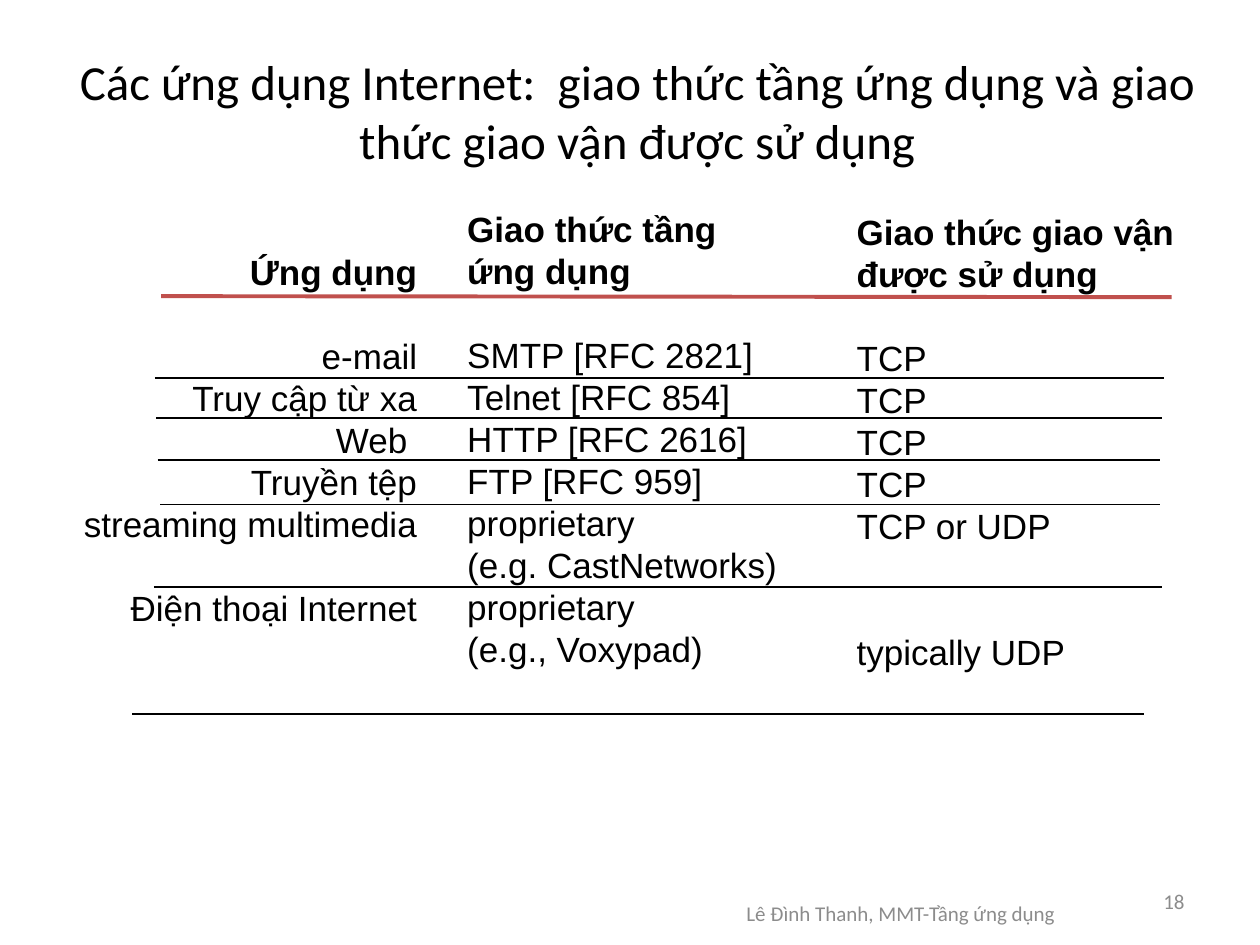
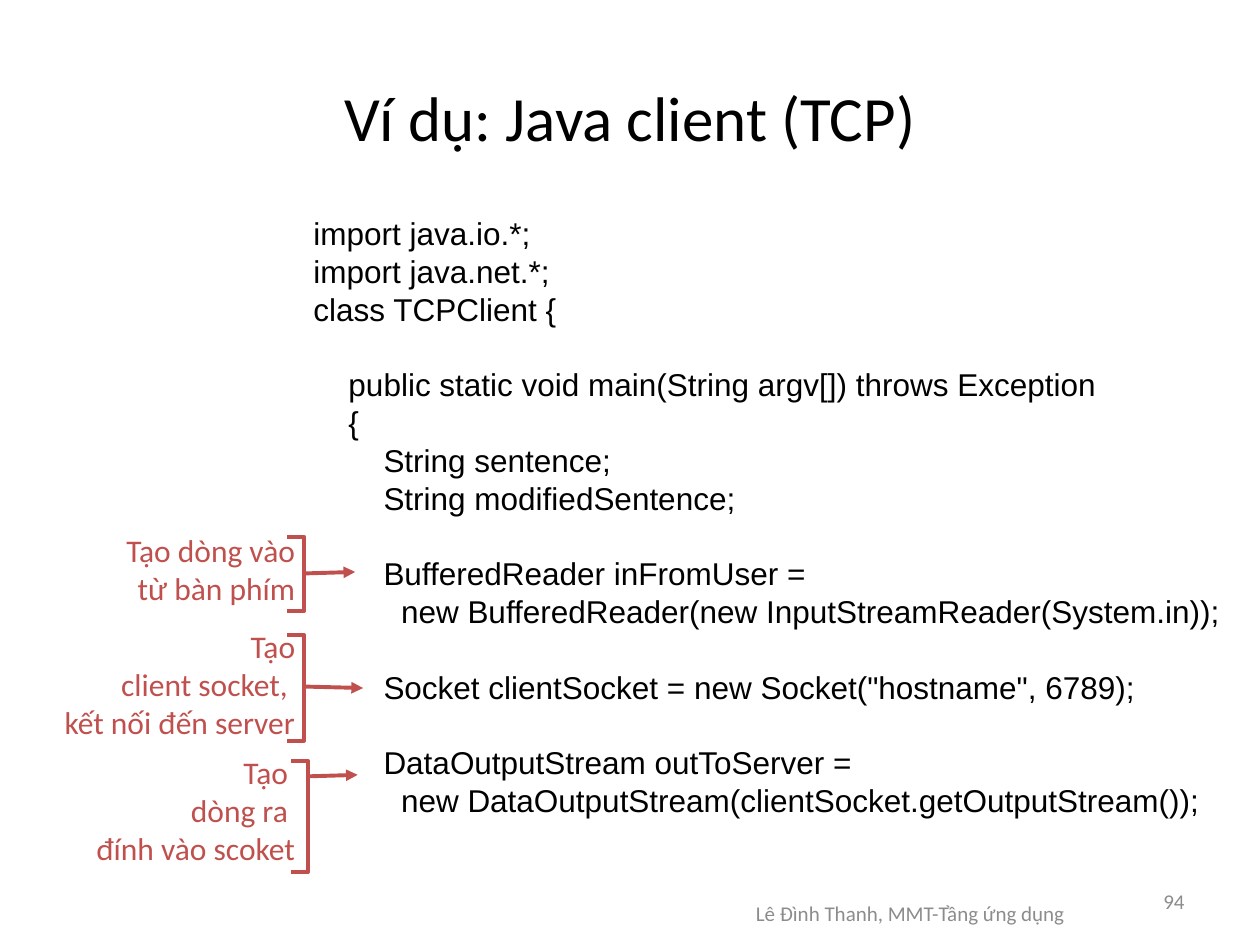
from lxml import etree
from pptx import Presentation
from pptx.dml.color import RGBColor
from pptx.enum.shapes import MSO_CONNECTOR
from pptx.enum.text import MSO_ANCHOR, PP_ALIGN
from pptx.oxml.ns import qn
from pptx.util import Cm, Pt

LEFT, CENTER, RIGHT = PP_ALIGN.LEFT, PP_ALIGN.CENTER, PP_ALIGN.RIGHT
TOP, MIDDLE = MSO_ANCHOR.TOP, MSO_ANCHOR.MIDDLE
STRAIGHT = MSO_CONNECTOR.STRAIGHT
BLACK, RED, GREY = "000000", "C0504D", "8C8C8C"
HEADING_FONT, BODY_FONT = "Calibri", "Arial"
LINE_HEIGHT = 1.2
SPACE_WIDTH = 0.278  # width of a space in the body font, in ems
TITLE_ONLY = 5


def write_lines(shape, lines, font, size, color, align=LEFT, anchor=TOP, bold_lines=0):
    """Fill a shape line by line; an empty line becomes space above the next
    one and leading spaces become a left indent."""
    frame = shape.text_frame
    frame.word_wrap = True
    frame.vertical_anchor = anchor
    paragraph, gap = frame.paragraphs[0], 0
    for index, line in enumerate(lines):
        if not line:
            gap += 1
            continue
        if index:
            paragraph = frame.add_paragraph()
        paragraph.alignment = align
        if len(lines) > 1:
            paragraph.line_spacing = Pt(LINE_HEIGHT * size)
        paragraph.space_before = Pt(gap * LINE_HEIGHT * size)
        text = line.lstrip()
        indent = len(line) - len(text)
        if indent:
            properties = paragraph._p.get_or_add_pPr()
            properties.set("marL", str(Pt(indent * SPACE_WIDTH * size)))
            properties.set("indent", "0")
        run = paragraph.add_run()
        run.text = text
        run.font.name = font
        run.font.size = Pt(size)
        run.font.bold = index < bold_lines
        run.font.color.rgb = RGBColor.from_string(color)
        gap = 0


def add_line(slide, x1, y1, x2, y2, color, width, arrow=False):
    line = slide.shapes.add_connector(STRAIGHT, Cm(x1), Cm(y1), Cm(x2), Cm(y2))
    line.line.color.rgb = RGBColor.from_string(color)
    line.line.width = Pt(width)
    if arrow:
        etree.SubElement(line.line._get_or_add_ln(), qn("a:tailEnd"), type="triangle")
    etree.SubElement(line._element.spPr, qn("a:effectLst"))


presentation = Presentation()
presentation.slide_width, presentation.slide_height = Cm(25.4), Cm(19.05)

# Title, footer and slide number
slides = []
for title, title_size, title_box, footer_left, footer_width, number in [
    ("Các ứng dụng Internet:  giao thức tầng ứng dụng và giao thức giao vận được sử dụng",
     28, (0.69, 0.64, 24.31, 3.18), 13.23, 9.86, "18"),
    ("Ví dụ: Java client (TCP)", 36, (1.27, 0.76, 22.86, 3.18), 13.64, 9.42, "94"),
]:
    slide = presentation.slides.add_slide(presentation.slide_layouts[TITLE_ONLY])
    slides.append(slide)
    heading = slide.shapes.title
    heading.left, heading.top, heading.width, heading.height = map(Cm, title_box)
    write_lines(heading, [title], HEADING_FONT, title_size, BLACK, CENTER, MIDDLE)
    footer = slide.shapes.add_textbox(Cm(footer_left), Cm(17.78), Cm(footer_width), Cm(1.27))
    write_lines(footer, ["Lê Đình Thanh, MMT-Tầng ứng dụng"], HEADING_FONT, 12, GREY, CENTER, MIDDLE)
    number_box = slide.shapes.add_textbox(Cm(18.21), Cm(17.65), Cm(5.92), Cm(1.02))
    write_lines(number_box, [number], HEADING_FONT, 12, GREY, RIGHT, MIDDLE)

protocol_slide, code_slide = slides

# Protocols: three columns of text over ruled lines
columns = [
    (0.5, 4.93, 8.16, RIGHT, 1,
     ["Ứng dụng", "", "e-mail", "Truy cập từ xa", "Web ", "Truyền tệp",
      "streaming multimedia", "", "Điện thoại Internet"]),
    (9.17, 4.06, 7.4, LEFT, 2,
     ["Giao thức tầng", "ứng dụng", "", "SMTP [RFC 2821]", "Telnet [RFC 854]",
      "HTTP [RFC 2616]", "FTP [RFC 959]", "proprietary", "(e.g. CastNetworks)",
      "proprietary", "(e.g., Voxypad)"]),
    (17.02, 4.11, 7.29, LEFT, 1,
     ["Giao thức giao vận được sử dụng", "", "TCP", "TCP", "TCP", "TCP",
      "TCP or UDP", "", "", "typically UDP"]),
]
for left, top, width, align, bold_lines, lines in columns:
    column = protocol_slide.shapes.add_textbox(Cm(left), Cm(top), Cm(width), Cm(9.6))
    write_lines(column, lines, BODY_FONT, 20, BLACK, align, bold_lines=bold_lines)

add_line(protocol_slide, 3.25, 5.97, 23.62, 5.99, RED, 2.25)
for x1, x2, y in [(3.12, 23.47, 7.62), (3.15, 23.42, 8.43), (3.18, 23.39, 9.27),
                  (3.23, 23.39, 10.17), (3.1, 23.42, 11.84), (2.67, 23.06, 14.4)]:
    add_line(protocol_slide, x1, y, x2, y, BLACK, 1)

# Java client: code with bracketed labels on its left
code = [
    "import java.io.*;",
    "import java.net.*;",
    "class TCPClient {",
    "",
    "    public static void main(String argv[]) throws Exception",
    "    {",
    "        String sentence;",
    "        String modifiedSentence;",
    "",
    "        BufferedReader inFromUser =",
    "          new BufferedReader(new InputStreamReader(System.in));",
    "",
    '        Socket clientSocket = new Socket("hostname", 6789);',
    "",
    "        DataOutputStream outToServer =",
    "          new DataOutputStream(clientSocket.getOutputStream());",
]
code_box = code_slide.shapes.add_textbox(Cm(6.07), Cm(4.19), Cm(19.2), Cm(13.89))
write_lines(code_box, code, BODY_FONT, 18, BLACK)

labels = [
    (["Tạo dòng vào", "từ bàn phím"], 10.59, 5.79, 10.82, 1.5, 11.56, 7.16, 11.53),
    (["Tạo", "client socket, ", "kết nối đến server"], 12.52, 5.79, 12.8, 2.13, 13.84, 7.32, 13.87),
    (["Tạo ", "dòng ra ", "đính vào scoket"], 15.06, 5.87, 15.34, 2.24, 15.65, 7.21, 15.62),
]
for lines, label_top, left, top, height, arrow_y, arrow_x2, arrow_y2 in labels:
    label = code_slide.shapes.add_textbox(Cm(0.4), Cm(label_top), Cm(5.8), Cm(0.76 * len(lines) + 0.26))
    write_lines(label, lines, HEADING_FONT, 18, RED, RIGHT)
    right, bottom = left + 0.34, top + height
    builder = code_slide.shapes.build_freeform(Cm(left), Cm(top))
    builder.add_line_segments(
        [(Cm(right), Cm(top)), (Cm(right), Cm(bottom)), (Cm(left), Cm(bottom))], close=False)
    bracket = builder.convert_to_shape()
    bracket.shadow.inherit = False
    bracket.fill.background()
    bracket.line.color.rgb = RGBColor.from_string(RED)
    bracket.line.width = Pt(2.25)
    add_line(code_slide, right, arrow_y, arrow_x2, arrow_y2, RED, 2.25, arrow=True)

presentation.save("out.pptx")
